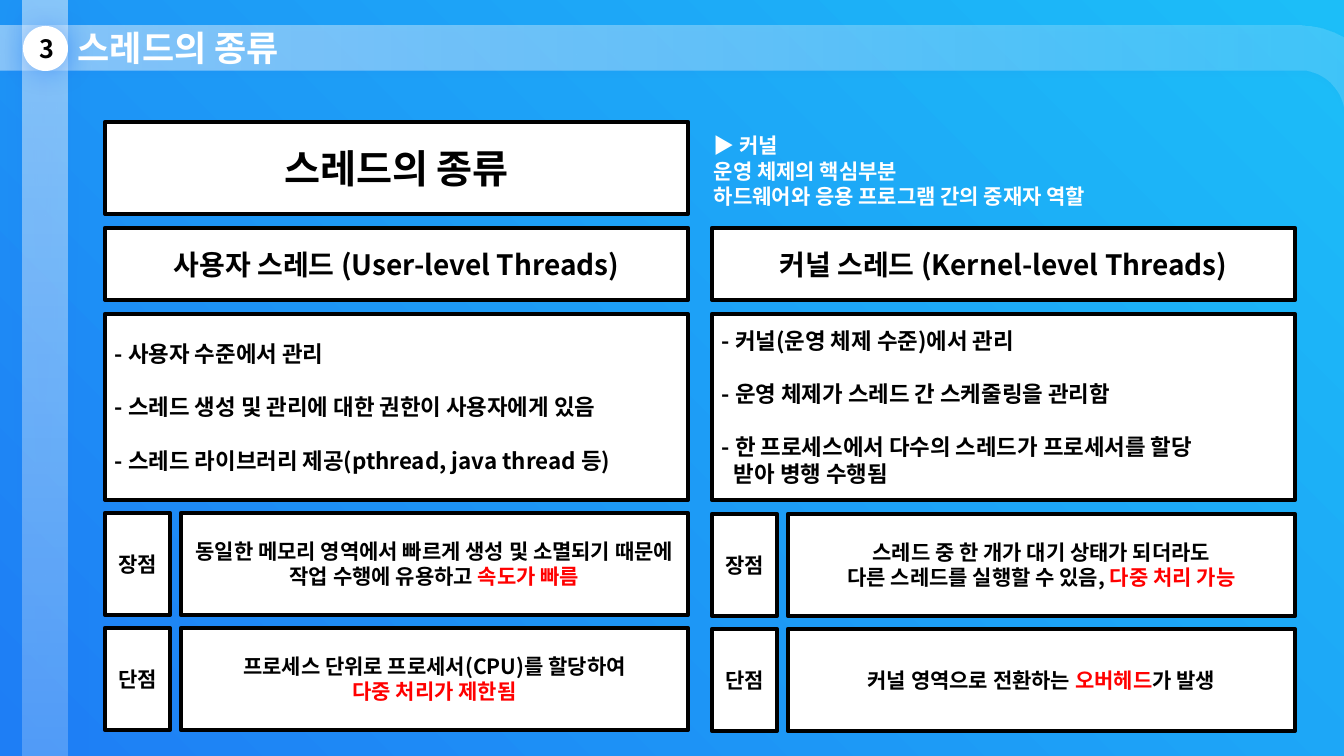
from dataclasses import dataclass
from math import acos, cos, degrees, radians, sin

from lxml import etree
from pptx import Presentation
from pptx.dml.color import RGBColor
from pptx.enum.shapes import MSO_SHAPE
from pptx.enum.text import MSO_ANCHOR, MSO_AUTO_SIZE, PP_ALIGN
from pptx.oxml.ns import qn
from pptx.shapes.autoshape import Shape
from pptx.slide import Slide
from pptx.text.text import TextFrame
from pptx.util import Emu, Pt

RECTANGLE, OVAL = MSO_SHAPE.RECTANGLE, MSO_SHAPE.OVAL
LEFT, CENTER = PP_ALIGN.LEFT, PP_ALIGN.CENTER
MIDDLE = MSO_ANCHOR.MIDDLE
GROW = MSO_AUTO_SIZE.SHAPE_TO_FIT_TEXT

WHITE = RGBColor(0xFF, 0xFF, 0xFF)
BLACK = RGBColor(0x00, 0x00, 0x00)
RED = RGBColor(0xFF, 0x00, 0x00)
BLUE = RGBColor(0x1E, 0x7E, 0xF5)
CYAN = RGBColor(0x1C, 0xBE, 0xF8)

FONT = "Noto Sans CJK KR"
WIDTH, HEIGHT = 1344, 756
EMU_PER_PX = 12192000 / WIDTH

COLUMN_WIDTH = 583
LABEL_WIDTH = 65
DETAIL_OFFSET = 76
HANGING = 12


@dataclass(frozen=True)
class Box:
    left: int
    top: int
    width: int
    height: int


@dataclass(frozen=True)
class Span:
    text: str
    color: RGBColor = BLACK


Line = list[Span]


@dataclass(frozen=True)
class Point:
    label: str
    top: int
    lines: list[Line]


@dataclass(frozen=True)
class ThreadType:
    left: int
    heading: str
    features: list[str]
    points: list[Point]


@dataclass(frozen=True)
class Shadow:
    opacity: int
    blur: int
    distance: int
    angle: int


THREAD_TYPES = [
    ThreadType(105, "사용자 스레드 (User-level Threads)", [
        "- 사용자 수준에서 관리",
        "- 스레드 생성 및 관리에 대한 권한이 사용자에게 있음",
        "- 스레드 라이브러리 제공(pthread, java thread 등)",
    ], [
        Point("장점", 513, [[
            Span("동일한 메모리 영역에서 빠르게 생성 및 소멸되기 때문에 작업 수행에 유용하고 "),
            Span("속도가 빠름", RED)]]),
        Point("단점", 628, [
            [Span("프로세스 단위로 프로세서(CPU)를 할당하여")],
            [Span("다중 처리가 제한됨", RED)]]),
    ]),
    ThreadType(712, "커널 스레드 (Kernel-level Threads)", [
        "- 커널(운영 체제 수준)에서 관리",
        "- 운영 체제가 스레드 간 스케줄링을 관리함",
        "- 한 프로세스에서 다수의 스레드가 프로세서를 할당\v받아 병행 수행됨",
    ], [
        Point("장점", 514, [
            [Span("스레드 중 한 개가 대기 상태가 되더라도")],
            [Span("다른 스레드를 실행할 수 있음, "), Span("다중 처리 가능", RED)]]),
        Point("단점", 629, [[
            Span("커널 영역으로 전환하는 "), Span("오버헤드", RED), Span("가 발생")]]),
    ]),
]


def px(value: float) -> Emu:
    return Emu(round(value * EMU_PER_PX))


def place(box: Box) -> tuple[Emu, Emu, Emu, Emu]:
    return px(box.left), px(box.top), px(box.width), px(box.height)


def plain(text: str, color: RGBColor = BLACK) -> Line:
    return [Span(text, color)]


def write(frame: TextFrame, lines: list[Line], size: int, align: PP_ALIGN,
          gap: int = 0, hanging: int = 0) -> None:
    for index, line in enumerate(lines):
        paragraph = frame.paragraphs[0] if index == 0 else frame.add_paragraph()
        paragraph.alignment = align
        if gap and index:
            paragraph.space_before = Pt(gap)
        if hanging:
            properties = paragraph._p.get_or_add_pPr()
            properties.set("marL", str(px(hanging)))
            properties.set("indent", str(-px(hanging)))
        font = paragraph.font
        font.name, font.size, font.bold = FONT, Pt(size), True
        font.color.rgb = line[0].color
        defaults = paragraph._p.pPr.find(qn("a:defRPr"))
        etree.SubElement(defaults, qn("a:ea"), typeface=FONT)
        for span in line:
            if "\v" in span.text:
                first, second = span.text.split("\v")
                paragraph.add_run().text = first
                paragraph.add_line_break()
                paragraph.add_run().text = second
                continue
            run = paragraph.add_run()
            run.text = span.text
            if span.color != line[0].color:
                run.font.color.rgb = span.color


def add_panel(slide: Slide, box: Box, lines: list[Line], size: int,
              align: PP_ALIGN = CENTER, gap: int = 0, hanging: int = 0) -> None:
    shape = slide.shapes.add_shape(RECTANGLE, *place(box))
    shape.shadow.inherit = False
    shape.fill.solid()
    shape.fill.fore_color.rgb = WHITE
    shape.line.color.rgb = BLACK
    shape.line.width = Pt(3)
    shape.text_frame.word_wrap = True
    shape.text_frame.vertical_anchor = MIDDLE
    write(shape.text_frame, lines, size, align, gap, hanging)


def add_caption(slide: Slide, box: Box, lines: list[Line], size: int) -> None:
    frame = slide.shapes.add_textbox(*place(box)).text_frame
    frame.word_wrap = False
    frame.auto_size = GROW
    write(frame, lines, size, LEFT)


def set_shadow(shape: Shape, shadow: Shadow) -> None:
    shape.shadow.inherit = False
    effects = shape._element.spPr.find(qn("a:effectLst"))
    outer = etree.SubElement(
        effects, qn("a:outerShdw"), blurRad=str(Pt(shadow.blur)),
        dist=str(Pt(shadow.distance)), dir=str(shadow.angle * 60000),
        algn="ctr", rotWithShape="0")
    color = etree.SubElement(outer, qn("a:srgbClr"), val=str(BLUE))
    etree.SubElement(color, qn("a:alpha"), val=str(shadow.opacity * 1000))


def fade_white(shape: Shape, angle: int, opacities: tuple[int, int]) -> None:
    shape.line.fill.background()
    shape.fill.gradient()
    shape.fill.gradient_angle = angle
    for stop in shape.fill.gradient_stops:
        stop.color.rgb = WHITE
    colors = shape._element.spPr.find(qn("a:gradFill")).iter(qn("a:srgbClr"))
    for color, opacity in zip(colors, opacities):
        etree.SubElement(color, qn("a:alpha"), val=str(opacity * 1000))


def arc(radius: int, start: float, end: float) -> list[tuple[Emu, Emu]]:
    """Points on a circle around the centre of the band's bend."""
    steps = 16
    angles = [radians(start + (end - start) * i / steps) for i in range(steps + 1)]
    return [(px(1298 + radius * cos(a)), px(117 - radius * sin(a))) for a in angles]


def add_bands(slide: Slide) -> None:
    # Horizontal band that bends down at the right edge
    builder = slide.shapes.build_freeform(0, px(26), scale=1.0)
    edge_angle = degrees(acos(46 / 91))
    builder.add_line_segments(
        arc(91, 90, edge_angle) + [(px(WIDTH), px(HEIGHT))]
        + arc(46, 0, 90) + [(0, px(71))], close=True)
    band = builder.convert_to_shape()
    fade_white(band, 0, (48, 16))
    set_shadow(band, Shadow(25, 2, 3, 45))

    # Vertical band
    strip = slide.shapes.add_shape(RECTANGLE, *place(Box(23, 0, 45, HEIGHT)))
    fade_white(strip, 270, (48, 23))
    set_shadow(strip, Shadow(64, 19, 3, 135))

    # Section number
    badge = slide.shapes.add_shape(OVAL, *place(Box(23, 26, 45, 45)))
    badge.fill.solid()
    badge.fill.fore_color.rgb = WHITE
    badge.line.fill.background()
    set_shadow(badge, Shadow(40, 18, 3, 45))
    badge.text_frame.vertical_anchor = MIDDLE
    write(badge.text_frame, [plain("3")], 18, CENTER)


def add_thread_type(slide: Slide, kind: ThreadType) -> None:
    add_panel(slide, Box(kind.left, 228, COLUMN_WIDTH, 72), [plain(kind.heading)], 20)
    add_panel(slide, Box(kind.left, 314, COLUMN_WIDTH, 186),
              [plain(feature) for feature in kind.features], 16, LEFT, 19, HANGING)
    for point in kind.points:
        add_panel(slide, Box(kind.left, point.top, LABEL_WIDTH, 102),
                  [plain(point.label)], 15)
        add_panel(slide, Box(kind.left + DETAIL_OFFSET, point.top,
                             COLUMN_WIDTH - DETAIL_OFFSET, 102), point.lines, 15)


def main() -> None:
    presentation = Presentation()
    presentation.slide_width, presentation.slide_height = px(WIDTH), px(HEIGHT)
    slide = presentation.slides.add_slide(presentation.slide_layouts[6])

    # Background
    fill = slide.background.fill
    fill.gradient()
    fill.gradient_angle = 45
    for stop, color in zip(fill.gradient_stops, (BLUE, CYAN)):
        stop.color.rgb = color

    # Header
    add_bands(slide)
    add_caption(slide, Box(68, 22, 245, 52), [plain("스레드의 종류", WHITE)], 25)

    # Topic and kernel note
    add_panel(slide, Box(105, 122, COLUMN_WIDTH, 92), [plain("스레드의 종류")], 28)
    note = ["▶ 커널", "운영 체제의 핵심부분", "하드웨어와 응용 프로그램 간의 중재자 역할"]
    add_caption(slide, Box(704, 128, 439, 87), [plain(text, WHITE) for text in note], 15)

    # Two columns of thread types
    for kind in THREAD_TYPES:
        add_thread_type(slide, kind)

    presentation.save("out.pptx")


if __name__ == "__main__":
    main()
